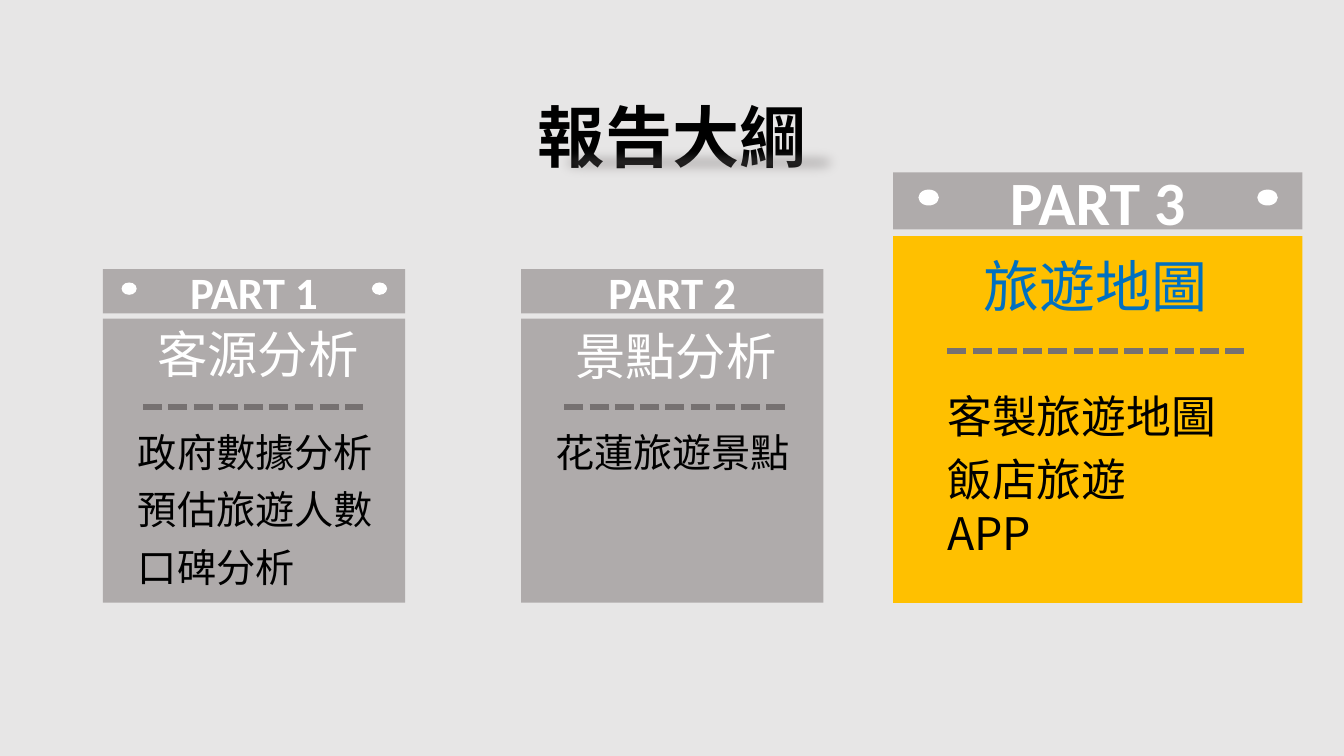
"""Build the report outline slide with three part cards."""
import dataclasses
import typing

import pptx
import pptx.dml.color
import pptx.enum.dml
import pptx.enum.shapes
import pptx.enum.text
import pptx.oxml
import pptx.oxml.ns
import pptx.util

RGBColor = pptx.dml.color.RGBColor
PALE = RGBColor(0xE7, 0xE6, 0xE6)
GRAY = RGBColor(0xAF, 0xAB, 0xAB)
DARK = RGBColor(0x76, 0x71, 0x71)
GOLD = RGBColor(0xFF, 0xC0, 0x00)
BLUE = RGBColor(0x00, 0x70, 0xC0)
WHITE = RGBColor(0xFF, 0xFF, 0xFF)
BLACK = RGBColor(0x00, 0x00, 0x00)

WIDTH, HEIGHT = pptx.util.Inches(13.333), pptx.util.Inches(7.5)
COLS, ROWS = 160, 90
BASE = 71.76
KIND = pptx.enum.shapes.MSO_SHAPE
ALIGN = pptx.enum.text.PP_ALIGN
ANCHOR = pptx.enum.text.MSO_ANCHOR
SANS, NOTE_FONT = "Noto Sans CJK SC", "Noto Sans CJK TC"


class Box(typing.NamedTuple):
    """A place on the grid in columns and rows."""
    left: float
    top: float
    wide: float
    high: float


class Style(typing.NamedTuple):
    """The look of one text."""
    size: float
    color: RGBColor
    face: str = SANS
    bold: bool = False
    align: typing.Any = ALIGN.CENTER
    anchor: typing.Any = ANCHOR.TOP
    inset: float = 0.1


class Note(typing.NamedTuple):
    """One line of a card, its box width and its right inset."""
    text: str
    wide: float
    inset: float = 0.1


@dataclasses.dataclass(frozen=True)
class Card:
    """A part card that stands on the common base row."""
    label: str
    left: float
    wide: float
    high: float
    fill: RGBColor
    holes: bool
    label_size: float
    head: str
    head_box: Box
    head_size: float
    head_color: RGBColor
    dash: tuple[float, float, float]
    notes: tuple[Note, ...]
    note_box: Box
    note_size: float
    step: float


CARDS = (
    Card("PART 3", 106.32, 48.72, 51.24, GOLD, True, 44,
         "旅遊地圖", Box(108.84, 29.4, 43.2, 9.48), 40, BLUE, (112.8, 148.32, 41.76),
         (Note("客製旅遊地圖", 37.68), Note("飯店旅遊APP", 34.68, 0.4)),
         Box(111.6, 45.72, 0, 7.68), 32, 7.44),
    Card("PART 2", 62.04, 36, 39.72, GRAY, False, 32,
         "景點分析", Box(64.92, 38.16, 31.08, 8.52), 36, WHITE, (67.2, 93.48, 48.48),
         (Note("花蓮旅遊景點", 30.84),),
         Box(64.92, 50.4, 0, 6.84), 28, 6.84),
    Card("PART 1", 12.24, 36, 39.72, GRAY, True, 32,
         "客源分析", Box(14.76, 37.92, 31.92, 8.52), 36, WHITE, (17.04, 43.2, 48.48),
         (Note("政府數據分析", 30.84), Note("預估旅遊人數", 30.84), Note("口碑分析", 21.6)),
         Box(15.24, 50.4, 0, 6.84), 28, 6.84),
)


def col(count: float) -> int:
    """Turn columns into a length."""
    return round(WIDTH * count / COLS)


def row(count: float) -> int:
    """Turn rows into a length."""
    return round(HEIGHT * count / ROWS)


def place(box: Box) -> tuple[int, int, int, int]:
    """Turn a grid box into lengths."""
    return col(box.left), row(box.top), col(box.wide), row(box.high)


def apply(target: typing.Any, values: dict[str, typing.Any]) -> None:
    """Set each named value on the target."""
    for name, value in values.items():
        setattr(target, name, value)


def write(shape: typing.Any, text: str, style: Style) -> None:
    """Put one styled paragraph into a shape."""
    frame = shape.text_frame
    frame.text = text
    apply(frame, {"word_wrap": True, "vertical_anchor": style.anchor,
                  "auto_size": pptx.enum.text.MSO_AUTO_SIZE.NONE,
                  "margin_right": pptx.util.Inches(style.inset)})
    line = frame.paragraphs[0]
    apply(line, {"alignment": style.align, "line_spacing": 1.0})
    font = line.runs[0].font
    apply(font, {"size": pptx.util.Pt(style.size), "bold": style.bold, "name": style.face})
    font.color.rgb = style.color
    east = pptx.oxml.parse_xml(
        f'<a:ea {pptx.oxml.ns.nsdecls("a")} typeface="{style.face}"/>')
    line.runs[0].font._element.append(east)


def add_block(slide: typing.Any, kind: typing.Any, box: Box, fill: RGBColor) -> typing.Any:
    """Add a flat filled shape."""
    shape = slide.shapes.add_shape(kind, *place(box))
    shape.shadow.inherit = False
    shape.fill.solid()
    shape.fill.fore_color.rgb = fill
    shape.line.fill.background()
    return shape


def add_text(slide: typing.Any, text: str, box: Box, style: Style) -> None:
    """Add a text box."""
    write(slide.shapes.add_textbox(*place(box)), text, style)


def add_dash(slide: typing.Any, start: float, end: float, level: float) -> None:
    """Add a dashed rule."""
    rule = slide.shapes.add_connector(
        pptx.enum.shapes.MSO_CONNECTOR.STRAIGHT, col(start), row(level), col(end), row(level))
    rule.line.color.rgb = DARK
    apply(rule.line, {"width": pptx.util.Pt(4.5),
                      "dash_style": pptx.enum.dml.MSO_LINE.SQUARE_DOT})
    pptx.oxml.ns.qn("a:effectLst")
    rule._element.spPr.append(
        pptx.oxml.parse_xml(f'<a:effectLst {pptx.oxml.ns.nsdecls("a")}/>'))


def add_card(slide: typing.Any, card: Card) -> None:
    """Draw one part card."""
    top = BASE - card.high
    body = Box(card.left, top + 0.148 * card.high, card.wide, 0.852 * card.high)
    add_block(slide, KIND.RECTANGLE, body, card.fill)
    band = add_block(slide, KIND.RECTANGLE,
                     Box(card.left, top, card.wide, 0.133 * card.high), GRAY)
    write(band, card.label,
          Style(card.label_size, WHITE, "Calibri", True, anchor=ANCHOR.MIDDLE))
    for share in (0.062, 0.89) if card.holes else ():
        hole = Box(card.left + share * card.wide, top + 0.04 * card.high,
                   0.05 * card.wide, 0.037 * card.high)
        add_block(slide, KIND.OVAL, hole, WHITE)
    add_dash(slide, *card.dash)
    add_text(slide, card.head, card.head_box, Style(card.head_size, card.head_color))
    for index, note in enumerate(card.notes):
        spot = card.note_box._replace(top=card.note_box.top + index * card.step, wide=note.wide)
        add_text(slide, note.text, spot,
                 Style(card.note_size, BLACK, NOTE_FONT, align=ALIGN.LEFT, inset=note.inset))


def add_glow(slide: typing.Any) -> None:
    """Add the soft translucent bar under the title."""
    bar = add_block(slide, KIND.RECTANGLE, Box(65.16, 16.68, 36, 5.28), DARK)
    names = pptx.oxml.ns.nsdecls("a")
    tint = bar._element.spPr.find(".//" + pptx.oxml.ns.qn("a:srgbClr"))
    tint.append(pptx.oxml.parse_xml(f'<a:alpha {names} val="46000"/>'))
    effects = bar._element.spPr.find(pptx.oxml.ns.qn("a:effectLst"))
    effects.append(pptx.oxml.parse_xml(f'<a:softEdge {names} rad="127000"/>'))


def main() -> None:
    """Build and save the slide."""
    deck = pptx.Presentation()
    apply(deck, {"slide_width": WIDTH, "slide_height": HEIGHT})
    slide = deck.slides.add_slide(deck.slide_layouts[5])
    slide.background.fill.solid()
    slide.background.fill.fore_color.rgb = PALE
    title = slide.shapes.title
    apply(title, dict(zip(("left", "top", "width", "height"),
                          place(Box(62.04, 10.8, 36, 10.92)))))
    write(title, "報告大綱", Style(48, BLACK, bold=True))
    for card in CARDS:
        add_card(slide, card)
    add_glow(slide)
    deck.save("out.pptx")


if __name__ == "__main__":
    main()
